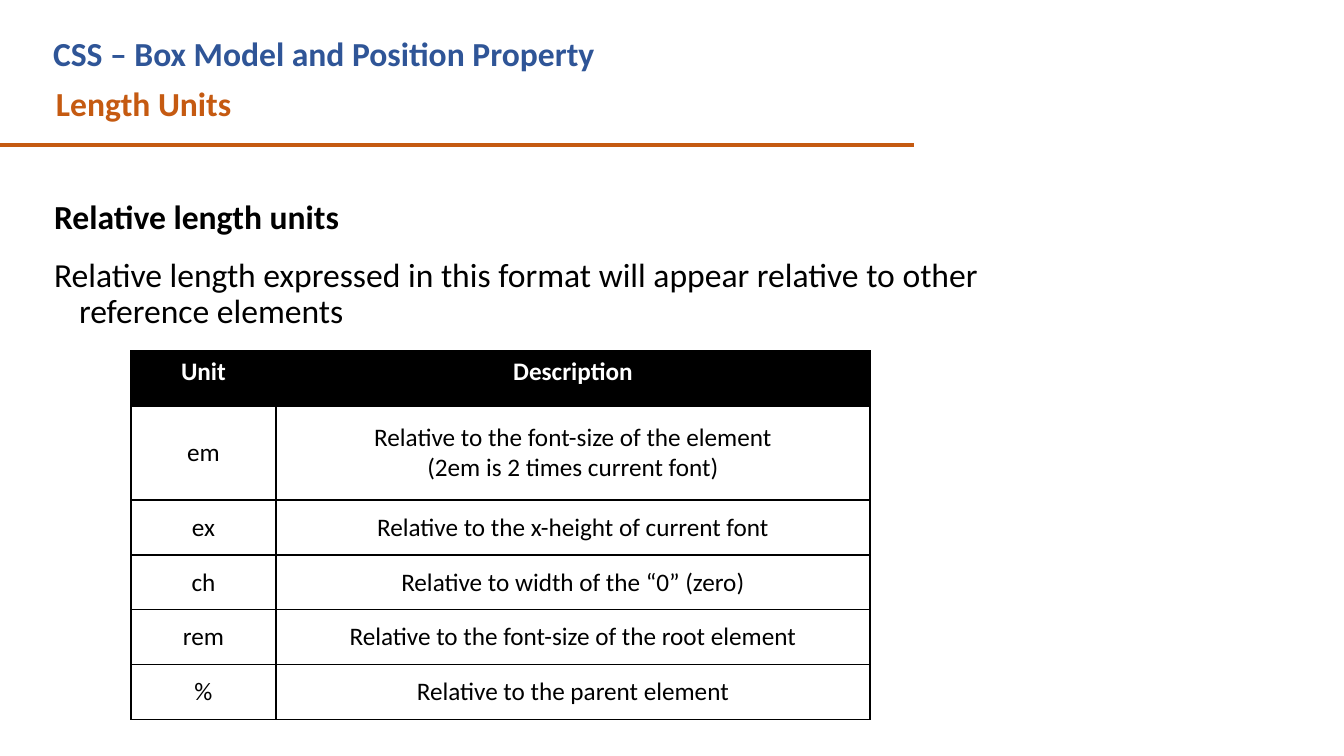
import dataclasses

import lxml.etree
import pptx
import pptx.dml.color
import pptx.enum.shapes
import pptx.enum.text
import pptx.oxml.ns
import pptx.util

EMU_PER_PX = 914400 / 100.8
ALIGN = pptx.enum.text.PP_ALIGN
ANCHOR = pptx.enum.text.MSO_ANCHOR
qn = pptx.oxml.ns.qn


@dataclasses.dataclass(frozen=True)
class Theme:
    font: str = "Calibri"
    course: str = "2F5597"
    accent: str = "C55A11"
    ink: str = "000000"
    paper: str = "FFFFFF"
    heading_size: int = 24
    table_size: int = 18
    rule_width: int = 3
    border_width: int = 1


THEME = Theme()
UNITS = [
    ("em", ["Relative to the font-size of the element", "(2em is 2 times current font)"]),
    ("ex", ["Relative to the x-height of current font"]),
    ("ch", ["Relative to width of the “0” (zero)"]),
    ("rem", ["Relative to the font-size of the root element"]),
    ("%", ["Relative to the parent element"]),
]


def px(length):
    return pptx.util.Emu(round(length * EMU_PER_PX))


def rgb(color):
    return pptx.dml.color.RGBColor.from_string(color)


def place(shape, left, top, width, height):
    shape.left, shape.top = px(left), px(top)
    shape.width, shape.height = px(width), px(height)


def prepare(frame, margin_x, margin_y):
    frame.word_wrap = True
    frame.auto_size = pptx.enum.text.MSO_AUTO_SIZE.NONE
    frame.vertical_anchor = ANCHOR.TOP
    frame.margin_left = frame.margin_right = px(margin_x)
    frame.margin_top = frame.margin_bottom = px(margin_y)


def write(frame, lines, size, color, bold, align):
    for index, line in enumerate(lines):
        paragraph = frame.paragraphs[0] if index == 0 else frame.add_paragraph()
        paragraph.alignment = align
        run = paragraph.add_run()
        run.text = line
        run.font.name = THEME.font
        run.font.size = pptx.util.Pt(size)
        run.font.bold = bold
        run.font.color.rgb = rgb(color)


def add_header(slide, left, top, width, height):
    course = slide.shapes.title
    place(course, left + 43, top, width - 87, 50)
    topic = slide.shapes.add_textbox(px(left + 46), px(top + 50), px(width - 46), px(50))
    for heading, text, color in (
        (course, "CSS – Box Model and Position Property", THEME.course),
        (topic, "Length Units", THEME.accent),
    ):
        prepare(heading.text_frame, 10, 5)
        write(heading.text_frame, [text], THEME.heading_size, color, True, ALIGN.LEFT)

    rule_y = px(top + height)
    rule = slide.shapes.add_connector(
        pptx.enum.shapes.MSO_CONNECTOR.STRAIGHT, px(left), rule_y, px(left + width), rule_y)
    rule.line.color.rgb = rgb(THEME.accent)
    rule.line.width = pptx.util.Pt(THEME.rule_width)
    lxml.etree.SubElement(rule._element.spPr, qn("a:effectLst"))


def add_introduction(slide, left, top, width, height):
    introduction = slide.placeholders[1]
    place(introduction, left, top, width, height)
    frame = introduction.text_frame
    prepare(frame, 10, 10)
    write(frame, ["Relative length units",
                  "Relative length expressed in this format will appear relative to other "
                  "reference elements"],
          THEME.heading_size, THEME.ink, False, ALIGN.LEFT)
    frame.paragraphs[0].runs[0].font.bold = True
    for paragraph in frame.paragraphs:
        properties = paragraph._p.get_or_add_pPr()
        properties.set("marL", str(px(38)))
        properties.set("indent", str(px(-25)))
        lxml.etree.SubElement(properties, qn("a:buNone"))
        paragraph.line_spacing = 0.9
        paragraph.space_before = pptx.util.Pt(0)
        paragraph.space_after = pptx.util.Pt(16)


def add_borders(cell):
    properties = cell._tc.get_or_add_tcPr()
    for side in ("lnL", "lnR", "lnT", "lnB"):
        border = lxml.etree.SubElement(properties, qn(f"a:{side}"))
        border.set("w", str(pptx.util.Pt(THEME.border_width)))
        fill = lxml.etree.SubElement(border, qn("a:solidFill"))
        lxml.etree.SubElement(fill, qn("a:srgbClr")).set("val", THEME.ink)


def add_unit_table(slide, left, top, width, row_height):
    rows = [("Unit", ["Description"])] + UNITS
    extra_line = 39
    heights = [row_height + extra_line * (len(lines) - 1) for _, lines in rows]
    table = slide.shapes.add_table(
        len(rows), 2, px(left), px(top), px(width), px(sum(heights))).table
    unit_width = 145
    table.columns[0].width = px(unit_width)
    table.columns[1].width = px(width - unit_width)
    for row, (unit, description) in enumerate(rows):
        table.rows[row].height = px(heights[row])
        is_header = row == 0
        for column, lines in enumerate(([unit], description)):
            cell = table.cell(row, column)
            add_borders(cell)
            cell.fill.solid()
            cell.fill.fore_color.rgb = rgb(THEME.ink if is_header else THEME.paper)
            cell.vertical_anchor = ANCHOR.TOP if is_header else ANCHOR.MIDDLE
            write(cell.text_frame, lines, THEME.table_size,
                  THEME.paper if is_header else THEME.ink, is_header, ALIGN.CENTER)


def main():
    presentation = pptx.Presentation()
    presentation.slide_width, presentation.slide_height = px(1344), px(756)
    slide = presentation.slides.add_slide(presentation.slide_layouts[1])
    add_header(slide, 0, 28, 914, 117)
    add_introduction(slide, 31, 190, 963, 505)
    add_unit_table(slide, 131, 351, 739, 55)
    presentation.save("out.pptx")


if __name__ == "__main__":
    main()
